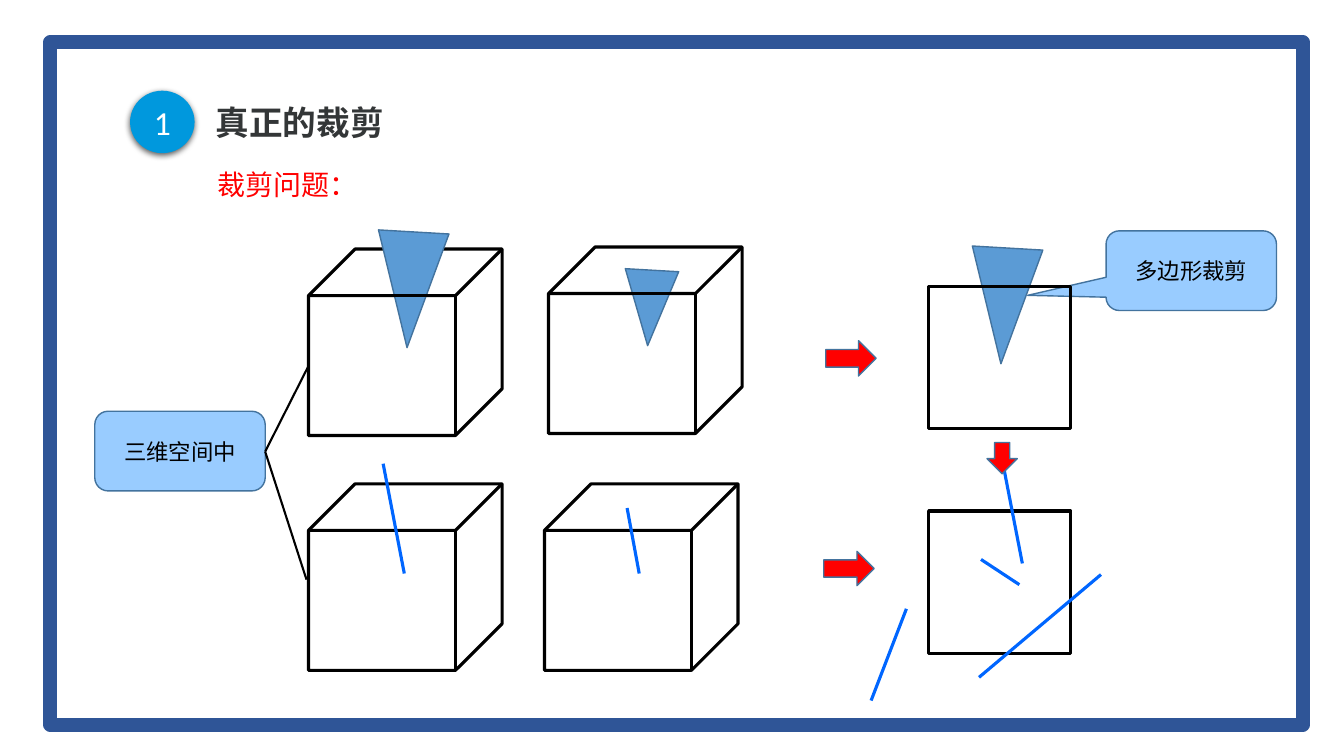
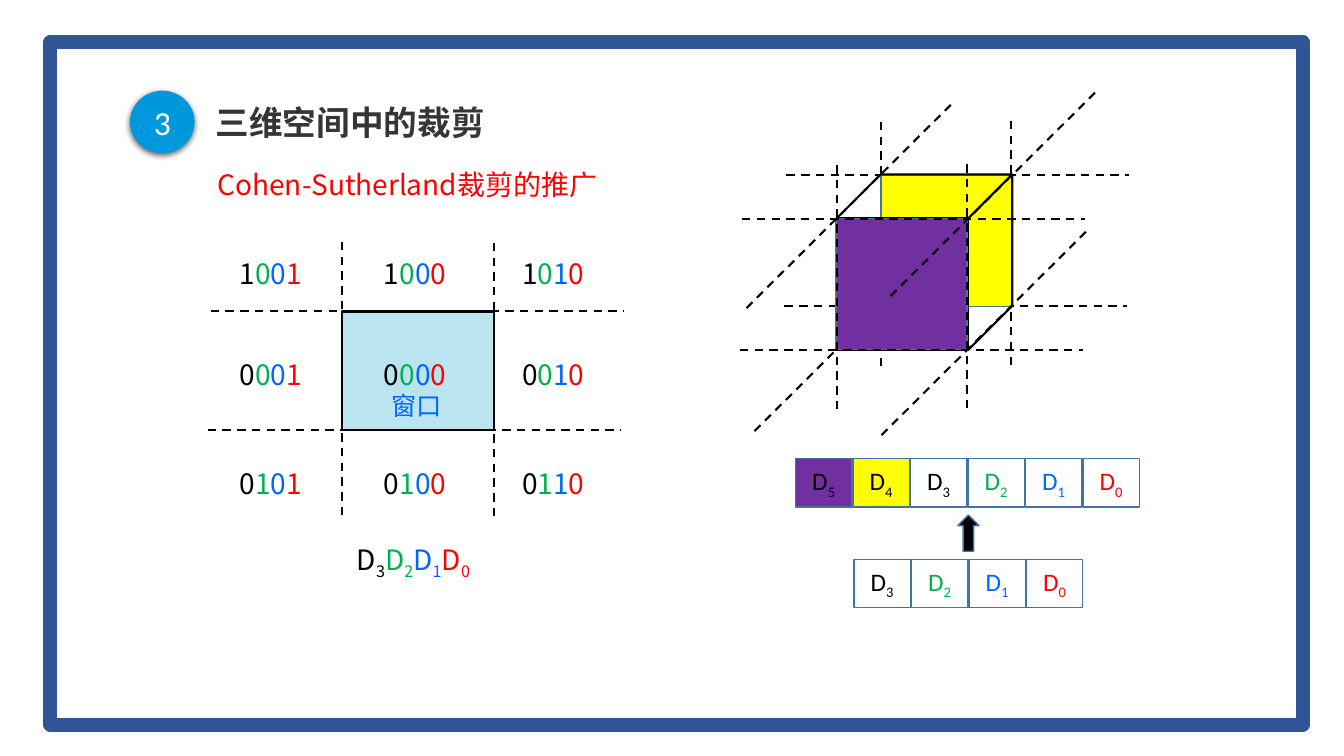
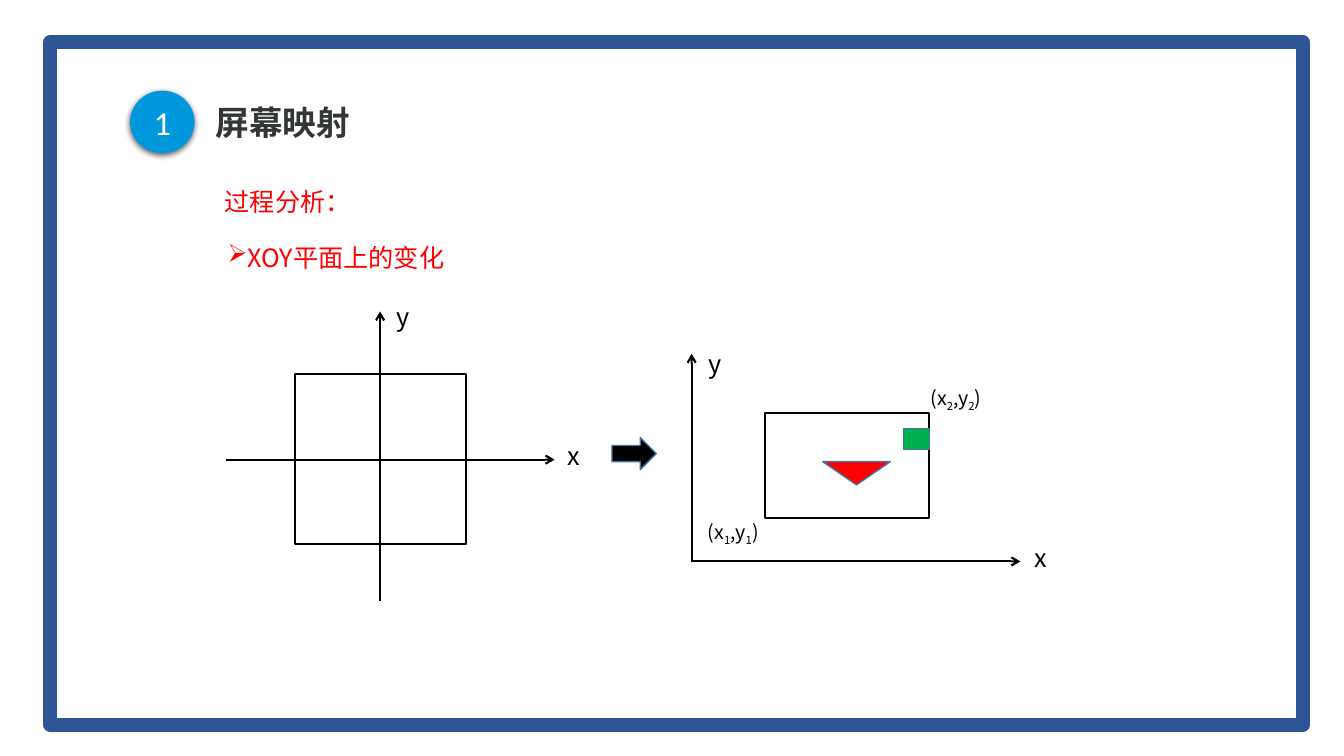
from lxml import etree
from pptx import Presentation
from pptx import util as u
from pptx.dml import color
from pptx.enum import dml, shapes, text
from pptx.oxml import ns

KIND = shapes.MSO_SHAPE
SANS, LATIN = "Noto Sans CJK SC", "Calibri"
BLACK, WHITE, RED, GREEN, BLUE = "000000", "FFFFFF", "FF0000", "00B050", "0066FF"
EDGE, SKY, STEEL = "43739E", "99CCFF", "5B9BD5"
PURPLE, YELLOW = "7030A0", "FFFF00"
BITS = [BLACK, GREEN, BLUE, RED]


def rgb(code):
    """Turn a hex string into a colour."""
    return color.RGBColor.from_string(code)


def child(node, tag, **attrs):
    """Append a DrawingML element to a node."""
    return etree.SubElement(node, ns.qn("a:" + tag), attrs)


class Deck:
    """Hold the shared style and the current slide."""

    def __init__(self):
        """Open an empty widescreen deck."""
        self.prs = Presentation()
        self.prs.slide_width, self.prs.slide_height = u.Inches(13.33), u.Inches(7.5)

    def start(self, num, title):
        """Add a slide with its frame, title and numbered badge."""
        self.slide = self.prs.slides.add_slide(self.prs.slide_layouts[5])
        self.shape("RECTANGLE", 0.5, 0.42, 12.42, 6.77, line="2F5597", width=10)
        head = self.slide.shapes.title
        head.left, head.top, head.width, head.height = map(u.Inches, (2.04, 0.93, 8.35, 0.61))
        frame = head.text_frame
        frame.vertical_anchor = text.MSO_ANCHOR.MIDDLE
        frame.auto_size = text.MSO_AUTO_SIZE.NONE
        para = self.label(head, [(title, "333637")], 24)
        para.alignment = text.PP_ALIGN.LEFT
        para.line_spacing = 0.9
        para.font.bold = True
        badge = self.shape("OVAL", 1.29, 0.9, 0.64, 0.62, "0098DD", None)
        self.label(badge, [(str(num), WHITE)], 24, LATIN)
        glow = child(badge._element.spPr.find(ns.qn("a:effectLst")), "outerShdw",
                     blurRad="57150", dist="19050", dir="5400000", rotWithShape="0")
        child(child(glow, "srgbClr", val=BLACK), "alpha", val="63000")

    def label(self, shape, runs, size, font=SANS, bullet=None):
        """Fill in coloured runs; an underscore lowers the next letter."""
        para = shape.text_frame.paragraphs[0]
        if bullet:
            child(para._p.get_or_add_pPr(), "buChar", char=bullet)
        para.font.size = u.Pt(size)
        para.font.color.rgb = rgb(runs[0][1])
        para.font.name = font
        child(para.font._element, "ea", typeface=font)
        for words, tint in runs:
            for i, part in enumerate(words.split("_")):
                bits = [(part[:1], True), (part[1:], False)] if i else [(part, False)]
                for bit, low in bits:
                    if bit:
                        self.run(para, bit, tint if tint != runs[0][1] else None, low)
        return para

    def run(self, para, words, tint, low):
        """Add one run, with its own colour or lowered if asked."""
        run = para.add_run()
        run.text = words
        if tint:
            run.font.color.rgb = rgb(tint)
        if low:
            run.font._element.set("baseline", "-25000")

    def shape(self, kind, x, y, w, h, fill=None, line=EDGE, width=1, turn=0):
        """Add a preset shape."""
        item = self.slide.shapes.add_shape(getattr(KIND, kind), *map(u.Inches, (x, y, w, h)))
        item.shadow.inherit = False
        item.rotation = turn
        if fill:
            item.fill.solid()
            item.fill.fore_color.rgb = rgb(fill)
        else:
            item.fill.background()
        if line:
            item.line.color.rgb = rgb(line)
            item.line.width = u.Pt(width)
        else:
            item.line.fill.background()
        return item

    def line(self, x, y, to_x, to_y, tint=BLACK, width=1.5, dash=False, arrow=False):
        """Add a straight line."""
        item = self.slide.shapes.add_connector(
            shapes.MSO_CONNECTOR.STRAIGHT, *map(u.Inches, (x, y, to_x, to_y)))
        item.line.color.rgb = rgb(tint)
        item.line.width = u.Pt(width)
        if dash:
            item.line.dash_style = dml.MSO_LINE.DASH
        if arrow:
            child(item.line._get_or_add_ln(), "tailEnd", type="arrow")
        child(item._element.spPr, "effectLst")

    def guides(self, dx, dy, *spots):
        """Add equal dashed lines from several spots."""
        for x, y in spots:
            self.line(x, y, x + dx, y + dy, dash=True)

    def note(self, x, y, w, h, runs, size=18, bullet=None):
        """Add a one-line text box."""
        box = self.slide.shapes.add_textbox(*map(u.Inches, (x, y, w, h)))
        box.text_frame.word_wrap = False
        box.text_frame.auto_size = text.MSO_AUTO_SIZE.SHAPE_TO_FIT_TEXT
        self.label(box, runs, size, bullet=bullet)
        return box

    def lead(self, words):
        """Add the red line below the title."""
        box = self.note(2.06, 1.55, 8.5, 0.65, [(words, RED)], 20)
        box.text_frame.word_wrap = True
        box.text_frame.auto_size = text.MSO_AUTO_SIZE.NONE
        box.text_frame.paragraphs[0].line_spacing = 1.2

    def callout(self, x, y, words, tip):
        """Add a rounded callout."""
        item = self.shape("ROUNDED_RECTANGULAR_CALLOUT", x, y, 1.69, 0.79, SKY)
        item.adjustments[0], item.adjustments[1] = tip
        self.label(item, [(words, BLACK)], 16)

    def wedge(self, x, y, w, h):
        """Add a triangle that points down."""
        self.shape("ISOSCELES_TRIANGLE", x, y, w, h, STEEL, turn=183.3)

    def cube(self, x, y, wedge=None):
        """Add a cube, perhaps pierced by a wedge."""
        self.shape("CUBE", x, y, 1.92, 1.85, line=BLACK, width=2.25)
        if wedge:
            self.wedge(*wedge)
        self.line(x + 0.5, y + 0.46, x + 1.22, y + 0.46, width=2.25)

    def cells(self, x, y, digits, fills):
        """Add a row of bit cells."""
        tints = dict(zip((3, 2, 1, 0), BITS))
        for i, digit in enumerate(digits):
            cell = self.shape("RECTANGLE", x + 0.57 * i, y, 0.56, 0.48, fills.get(digit, WHITE))
            self.label(cell, [(f"D_{digit}", tints.get(digit, BLACK))], 18, LATIN)


def clipping(deck):
    """Build the clipping problem slide."""
    deck.start(1, "真正的裁剪")
    deck.lead("裁剪问题：")
    deck.callout(0.94, 4.08, "三维空间中", (0.5, 0.28))
    deck.callout(10.97, 2.29, "多边形裁剪", (-0.96, 0.31))
    deck.cube(3.06, 2.47, (3.72, 2.3, 0.7, 1.15))
    deck.cube(5.44, 2.45, (6.18, 2.68, 0.53, 0.75))
    deck.cube(3.06, 4.8)
    deck.cube(5.4, 4.8)
    deck.wedge(9.61, 2.46, 0.7, 1.15)
    for y in (2.84, 5.07):
        deck.shape("RECTANGLE", 9.21, y, 1.41, 1.41, line=BLACK, width=2.25)
    for ends in ((3.8, 4.6, 4.01, 5.69), (6.22, 5.04, 6.34, 5.69), (9.93, 4.51, 10.14, 5.59),
                 (9.73, 5.55, 10.11, 5.8), (8.99, 6.04, 8.64, 6.95), (10.92, 5.7, 9.71, 6.72)):
        deck.line(*ends, BLUE, 2.25)
    deck.shape("RIGHT_ARROW", 8.19, 3.38, 0.5, 0.35, RED)
    deck.shape("RIGHT_ARROW", 8.17, 5.47, 0.5, 0.34, RED)
    deck.shape("DOWN_ARROW", 9.79, 4.39, 0.3, 0.31, RED)
    deck.line(2.63, 4.48, 3.06, 3.63)
    deck.line(2.63, 4.48, 3.04, 5.75)


def space(deck):
    """Build the region code slide."""
    deck.start(3, "三维空间中的裁剪")
    deck.lead("Cohen-Sutherland裁剪的推广")
    deck.guides(-2.05, 2.04, (9.51, 2.26))
    deck.guides(3.4, 0, (7.8, 1.74), (7.78, 3.04))
    deck.guides(0, 2.45, (8.74, 1.21), (10.03, 1.2))
    deck.shape("RECTANGLE", 8.74, 1.74, 1.3, 1.3, YELLOW)
    deck.shape("CUBE", 8.3, 1.73, 1.74, 1.74, line=BLACK, width=1.5)
    deck.shape("RECTANGLE", 8.29, 2.17, 1.3, 1.3, PURPLE)
    deck.guides(3.4, 0, (7.36, 2.17), (7.34, 3.47))
    deck.guides(0, 2.44, (8.3, 1.64), (9.59, 1.63))
    deck.guides(-2.05, 2.04, (9.43, 1.04), (10.86, 0.92), (10.77, 2.3))
    deck.cells(7.89, 4.55, (5, 4, 3, 2, 1, 0), {5: PURPLE, 4: YELLOW})
    deck.cells(8.47, 5.55, (3, 2, 1, 0), {})
    deck.shape("UP_ARROW", 9.5, 5.11, 0.21, 0.36, BLACK)
    deck.shape("RECTANGLE", 3.39, 3.09, 1.51, 1.18, "BBE4F1", BLACK, 1.5)
    deck.guides(4.09, 0, (2.09, 3.09), (2.06, 4.27))
    deck.guides(0, 2.77, (3.39, 2.4), (4.9, 2.41))
    deck.note(3.78, 3.82, 0.71, 0.4, [("窗口", BLUE)])
    for y, high in ((2.5, "10"), (3.5, "00"), (4.58, "01")):
        for x, low in ((2.28, "01"), (3.71, "00"), (5.08, "10")):
            deck.note(x, y, 0.86, 0.44, list(zip(high + low, BITS)), 20)
    deck.note(3.44, 5.33, 1.5, 0.44, list(zip(("D_3", "D_2", "D_1", "D_0"), BITS)), 20)


def screen(deck):
    """Build the screen mapping slide."""
    deck.start(1, "屏幕映射")
    deck.note(2.13, 1.8, 1.46, 0.4, [("过程分析：", RED)])
    deck.note(2.16, 2.35, 2.43, 0.4, [("XOY平面上的变化", RED)], bullet="➢")
    deck.shape("RECTANGLE", 7.59, 4.1, 1.62, 1.04, line=BLACK, width=1.5)
    deck.shape("ISOSCELES_TRIANGLE", 8.16, 4.58, 0.67, 0.23, RED, turn=180)
    deck.shape("RECTANGLE", 8.96, 4.25, 0.26, 0.21, GREEN)
    for x, y, words in ((6.92, 5.11, "(x_1,y_1)"), (9.13, 3.78, "(x_2,y_2)")):
        box = deck.note(x, y, 1.1, 0.34, [(words, BLACK)], 14)
        box.text_frame.word_wrap = True
    for ends in ((6.86, 5.58, 6.86, 3.51), (6.86, 5.57, 10.12, 5.57),
                 (3.77, 5.96, 3.77, 3.09), (2.24, 4.56, 5.5, 4.56)):
        deck.line(*ends, arrow=True)
    for x, y, name in ((10.16, 5.33, "x"), (6.93, 3.41, "y"), (5.53, 4.32, "x"), (3.83, 2.94, "y")):
        deck.note(x, y, 0.33, 0.4, [(name, BLACK)])
    deck.shape("RECTANGLE", 2.93, 3.71, 1.69, 1.69, line=BLACK, width=1.5)
    deck.shape("RIGHT_ARROW", 6.07, 4.34, 0.44, 0.32, BLACK)


def main():
    """Build and save the deck."""
    deck = Deck()
    for build in (clipping, space, screen):
        build(deck)
    deck.prs.save("out.pptx")


if __name__ == "__main__":
    main()
